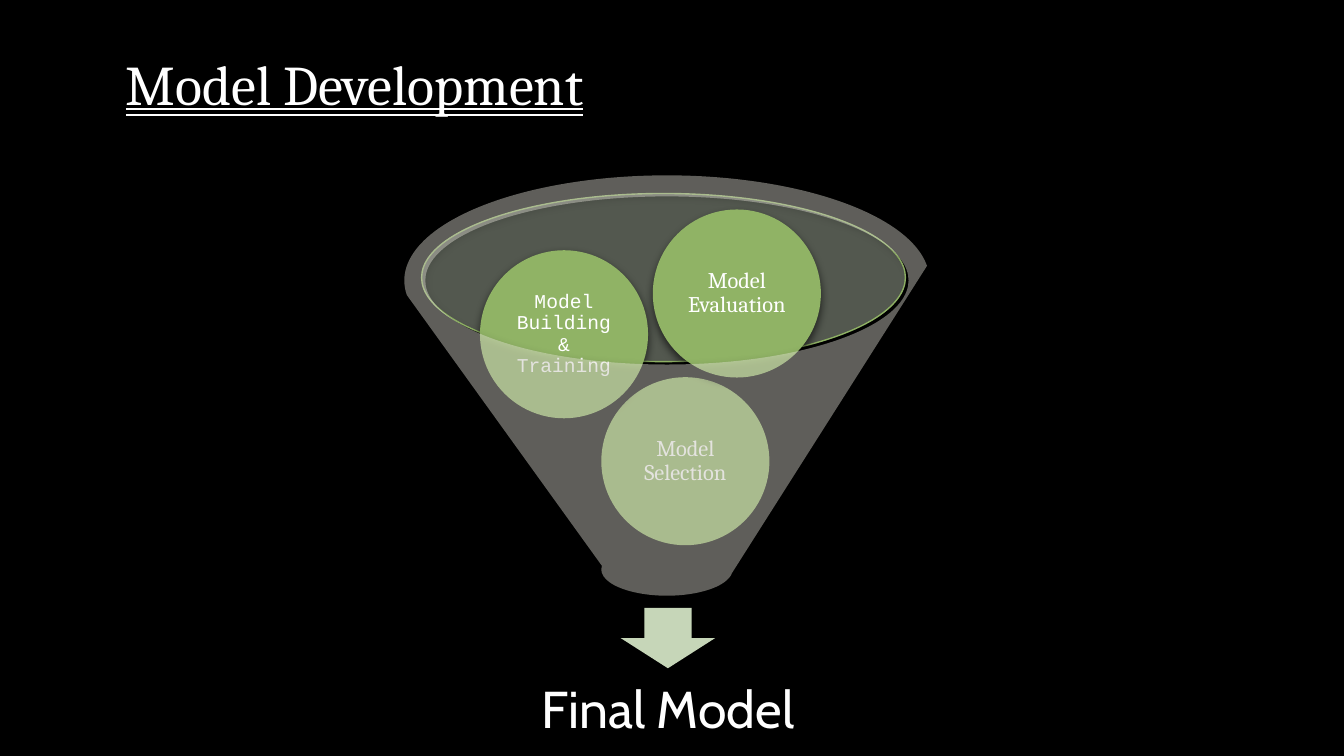
from lxml import etree
from pptx import Presentation
from pptx import util as u
from pptx.dml.color import RGBColor
from pptx.enum import shapes, text
from pptx.oxml.ns import qn

WIDTH, HEIGHT = 13.33, 7.5
WHITE, GREEN = "FFFFFF", "90B365"
BALL = 0.32  # diameter as a share of the funnel's width


def colour(value):
    return RGBColor.from_string(value)


def add_alpha(parent, percent):
    etree.SubElement(parent, qn("a:alpha"), val=str(percent * 1000))


def add_shadow(shape, opacity, blur, distance):
    """Black shadow falling straight down; blur and distance in points."""
    effects = shape._element.spPr.find(qn("a:effectLst"))
    shadow = etree.SubElement(
        effects, qn("a:outerShdw"), blurRad=str(u.Pt(blur)), dist=str(u.Pt(distance)),
        dir="5400000", rotWithShape="0")
    add_alpha(etree.SubElement(shadow, qn("a:srgbClr"), val="000000"), opacity)


def add_shape(slide, kind, box, fill, opacity=100, line=None):
    shape = slide.shapes.add_shape(kind, *map(u.Inches, box))
    shape.shadow.inherit = False
    shape.fill.solid()
    shape.fill.fore_color.rgb = colour(fill)
    if opacity < 100:
        add_alpha(shape._element.spPr.find(qn("a:solidFill"))[0], opacity)
    if line:
        shape.line.color.rgb = colour(line)
        shape.line.width = u.Pt(1)
    else:
        shape.line.fill.background()
    return shape


def write(shape, words, font, size, align, anchor, spacing, inset):
    frame = shape.text_frame
    frame.word_wrap = True
    frame.vertical_anchor = anchor
    frame.margin_left = frame.margin_right = u.Inches(inset)
    frame.margin_top = frame.margin_bottom = u.Inches(min(inset, 0.05))
    paragraph = frame.paragraphs[0]
    paragraph.text = words
    paragraph.alignment = align
    paragraph.line_spacing = spacing
    paragraph.font.name = font
    paragraph.font.size = u.Pt(size)
    paragraph.font.color.rgb = colour(WHITE)
    return paragraph


def add_title(slide, box):
    title = slide.shapes.add_textbox(*map(u.Inches, box))
    paragraph = write(title, "Model Development", "Cambria", 40,
                      text.PP_ALIGN.LEFT, text.MSO_ANCHOR.BOTTOM, 0.8, 0.1)
    paragraph.font.underline = text.MSO_UNDERLINE.DOUBLE_LINE


def add_funnel(slide, box):
    """Mouth, balls and funnel wall, stacked from back to front."""
    left, top, width, height = box
    kinds = shapes.MSO_SHAPE
    mouth = (left + 0.033 * width, top + 0.043 * height, 0.921 * width, 0.4 * height)
    add_shape(slide, kinds.OVAL, mouth, "D1DDC6", 40, GREEN)

    balls = [
        ("Model Selection", "Cambria", 16, 0.375, 0.48),
        ("Model Building & Training", "Courier New", 14, 0.144, 0.178),
        ("Model Evaluation", "Cambria", 16, 0.473, 0.081),
    ]
    diameter = BALL * width
    for words, font, size, across, down in balls:
        ball = add_shape(slide, kinds.OVAL, (left + across * width, top + down * height,
                                             diameter, diameter), GREEN)
        add_shadow(ball, 60, 6, 3)
        write(ball, words, font, size, text.PP_ALIGN.CENTER,
              text.MSO_ANCHOR.MIDDLE, 0.9, 0.02)

    add_shadow(add_shape(slide, kinds.FUNNEL, box, "EEECE1", 40), 32, 5, 1)


def add_result(slide, box):
    """Arrow in the upper part of the box, label below it."""
    left, top, width, height = box
    arrow_width = 0.21 * width
    add_shape(slide, shapes.MSO_SHAPE.DOWN_ARROW,
              (left + (width - arrow_width) / 2, top, arrow_width, 0.6), "C6D6B8")
    label_top = top + 0.47
    label = slide.shapes.add_textbox(
        *map(u.Inches, (left, label_top, width, top + height - label_top)))
    write(label, "Final Model", "Cabin", 37, text.PP_ALIGN.CENTER,
          text.MSO_ANCHOR.MIDDLE, 0.9, 0.29)


def main():
    presentation = Presentation()
    presentation.slide_width = u.Inches(WIDTH)
    presentation.slide_height = u.Inches(HEIGHT)
    slide = presentation.slides.add_slide(presentation.slide_layouts[6])
    slide.background.fill.solid()
    slide.background.fill.fore_color.rgb = colour("000000")
    add_title(slide, (1.15, 0.29, 6.27, 0.91))
    add_funnel(slide, (4.01, 1.74, 5.21, 4.17))
    add_result(slide, (4.39, 6.03, 4.47, 1.59))
    presentation.save("out.pptx")


if __name__ == "__main__":
    main()
